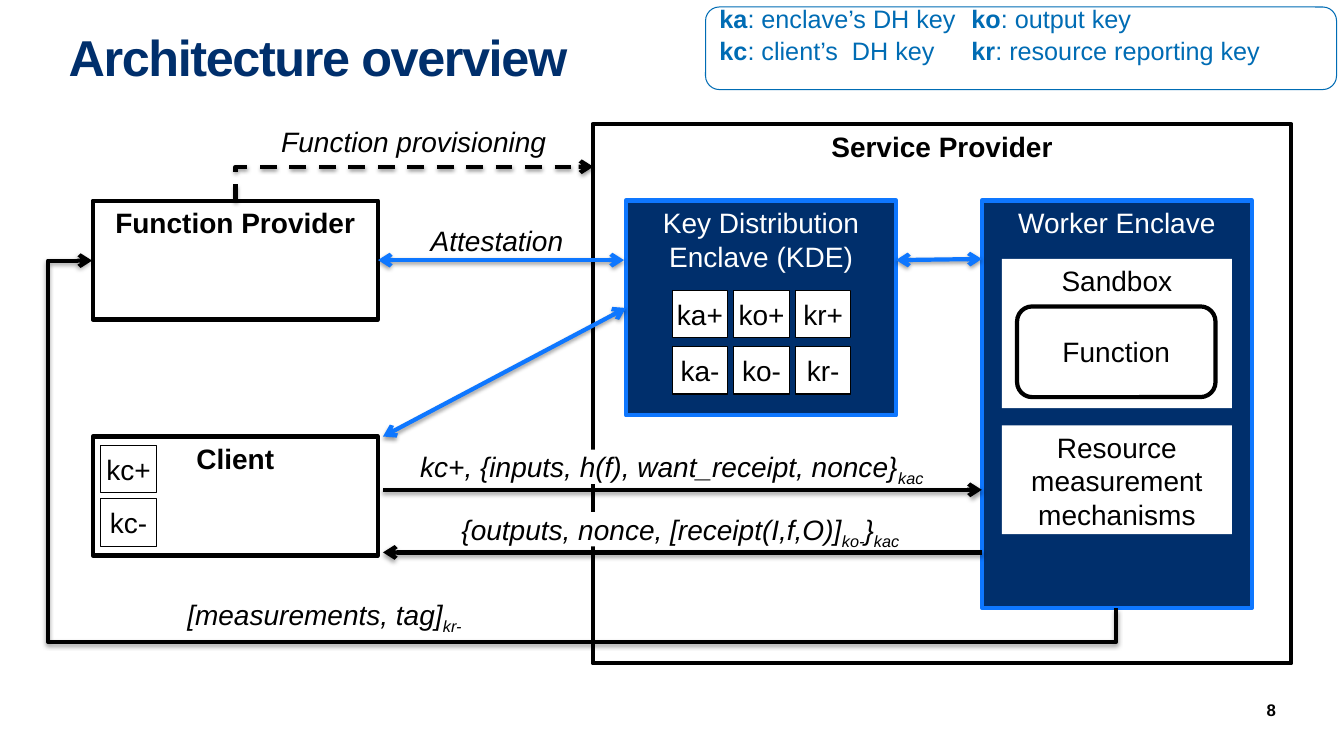
"""Build the architecture overview slide."""
from lxml import etree
from pptx import Presentation
from pptx.dml.color import RGBColor
from pptx.enum.dml import MSO_LINE
from pptx.enum.shapes import MSO_CONNECTOR, MSO_SHAPE
from pptx.enum.text import MSO_ANCHOR, PP_ALIGN
from pptx.oxml import parse_xml
from pptx.oxml.ns import qn
from pptx.util import Pt

RECT, ROUND = MSO_SHAPE.RECTANGLE, MSO_SHAPE.ROUNDED_RECTANGLE
STRAIGHT, ELBOW = MSO_CONNECTOR.STRAIGHT, MSO_CONNECTOR.ELBOW
LEFT, CENTER, RIGHT = PP_ALIGN.LEFT, PP_ALIGN.CENTER, PP_ALIGN.RIGHT
TOP, MIDDLE = MSO_ANCHOR.TOP, MSO_ANCHOR.MIDDLE
DASH = MSO_LINE.DASH

BLACK = RGBColor(0x00, 0x00, 0x00)
WHITE = RGBColor(0xFF, 0xFF, 0xFF)
NAVY = RGBColor(0x00, 0x2F, 0x6C)
BLUE = RGBColor(0x0E, 0x77, 0xFF)
TEAL = RGBColor(0x00, 0x6C, 0xB4)

PLAIN = {"name": "Arial", "size": Pt(20), "bold": False, "italic": False}
BOLD = {**PLAIN, "bold": True}
SLANT = {**PLAIN, "italic": True}
HEAD = {**BOLD, "size": Pt(36)}
NOTE = {**PLAIN, "size": Pt(18)}
PAGE = {**BOLD, "size": Pt(12)}

INSET = (7.2, 3.6, 7.2, 3.6)
SMALL = (2.9, 2.9, 2.9, 2.9)
NONE = (0, 0, 0, 0)
SHADOW = (
    '<a:effectLst xmlns:a="http://schemas.openxmlformats.org/drawingml/2006/main">'
    '<a:outerShdw blurRad="39370" dist="20320" dir="5400000" rotWithShape="0">'
    '<a:srgbClr val="000000"><a:alpha val="38000"/></a:srgbClr>'
    '</a:outerShdw></a:effectLst>'
)


def style(item, values):
    """Set each named attribute on the item."""
    for name, value in values.items():
        setattr(item, name, value)


def write(frame, lines, look, color, align=CENTER, anchor=TOP, inset=INSET):
    """Fill a text frame; each line is a list of run texts."""
    sides = ("margin_left", "margin_top", "margin_right", "margin_bottom")
    style(frame, dict(zip(sides, map(Pt, inset))))
    style(frame, {"word_wrap": True, "vertical_anchor": anchor})
    for index, parts in enumerate(lines):
        para = frame.add_paragraph() if index else frame.paragraphs[0]
        para.alignment = align
        for part in parts:
            run = para.add_run()
            run.text = part
            style(run.font, look)
            run.font.color.rgb = color


def box(slide, area, text, look=PLAIN, ink=BLACK, fill=WHITE, edge=None,
        width=3, kind=RECT, **layout):
    """Draw a shape with text, which is one string or a list of lines."""
    shape = slide.shapes.add_shape(kind, *map(Pt, area))
    shape.shadow.inherit = False
    if fill is None:
        shape.fill.background()
    else:
        shape.fill.solid()
        shape.fill.fore_color.rgb = fill
    if edge is None:
        shape.line.fill.background()
    else:
        shape.line.color.rgb = edge
        shape.line.width = Pt(width)
    lines = [[text]] if isinstance(text, str) else text
    write(shape.text_frame, lines, look, ink, **layout)
    return shape


def chip(slide, left, top, text):
    """Draw one small key cell."""
    box(slide, (left, top, 39.6, 33.8), text, edge=BLACK, width=0.75,
        anchor=MIDDLE, inset=SMALL)


def label(slide, area, parts, fill=None):
    """Write an italic label whose every second part is a subscript."""
    shape = box(slide, area, [parts], SLANT, fill=fill, inset=NONE)
    for run in shape.text_frame.paragraphs[0].runs[1::2]:
        run.font._element.set("baseline", "-25000")


def arrow(slide, ends, color=BLACK, both=False, kind=STRAIGHT):
    """Draw a connector with one or two arrowheads and a soft shadow."""
    link = slide.shapes.add_connector(kind, *map(Pt, ends))
    link.line.color.rgb = color
    link.line.width = Pt(3)
    line = link.line._get_or_add_ln()
    for tip in ("a:headEnd", "a:tailEnd")[0 if both else 1:]:
        etree.SubElement(line, qn(tip), type="arrow")
    link._element.spPr.append(parse_xml(SHADOW))
    return link


def bend(slide, ends, preset, *shifts):
    """Draw a quarter-turned elbow arrow with the given bends."""
    link = arrow(slide, ends, kind=ELBOW)
    props = link._element.spPr
    props.find(qn("a:xfrm")).set("rot", "5400000")
    geom = props.find(qn("a:prstGeom"))
    geom.set("prst", preset)
    guides = geom.find(qn("a:avLst"))
    for index, shift in enumerate(shifts, 1):
        etree.SubElement(guides, qn("a:gd"), name=f"adj{index}",
                         fmla=f"val {shift}")
    return link


def header(slide):
    """Set the title, the key legend and the page number."""
    title = slide.shapes.title
    style(title, {"left": Pt(49), "top": Pt(25.2),
                  "width": Pt(861.8), "height": Pt(94.3)})
    write(title.text_frame, [["Architecture overview"]], HEAD, NAVY,
          align=LEFT, inset=NONE)
    para = title.text_frame.paragraphs[0]
    para.line_spacing = 0.85
    para.runs[0].font._element.set("spc", "-100")
    lines = [["ka", ": enclave’s DH key\t", "ko", ": output key"],
             ["kc", ": client’s  DH key\t", "kr", ": resource reporting key"]]
    legend = box(slide, (504, 5, 450.7, 59), lines, NOTE, TEAL, None, TEAL,
                 0.75, ROUND, align=LEFT, anchor=MIDDLE,
                 inset=(7.2, 0, 7.2, 20))
    for para in legend.text_frame.paragraphs:
        para.space_after = Pt(1.5)
        for run in para.runs[::2]:
            run.font.bold = True
    page = slide.shapes.add_textbox(Pt(848.9), Pt(501.1), Pt(62.6), Pt(12.2))
    write(page.text_frame, [["8"]], PAGE, BLACK, align=RIGHT, anchor=MIDDLE,
          inset=(7.2, 3.6, 0, 3.6))


def parties(slide):
    """Draw the parties with their enclaves and keys."""
    box(slide, (423.4, 88.6, 499, 385.2), "Service Provider", BOLD,
        fill=None, edge=BLACK)
    kde = box(slide, (447.1, 143.3, 193, 153.4),
              "Key Distribution Enclave (KDE)", ink=WHITE, fill=NAVY, edge=BLUE)
    box(slide, (701.3, 143.3, 193, 290.9), "Worker Enclave", ink=WHITE,
        fill=NAVY, edge=BLUE)
    box(slide, (715.7, 185, 164.2, 106.6), "Sandbox")
    box(slide, (726.5, 218.9, 141.8, 64.8), "Function", edge=BLACK,
        kind=ROUND, anchor=MIDDLE)
    box(slide, (715.7, 303.8, 164.2, 77.8), "Resource measurement mechanisms")
    maker, client = [
        box(slide, (66.2, top, 203.8, 85), name, BOLD, edge=BLACK)
        for name, top in (("Function Provider", 143.3), ("Client", 311.8))]
    for row, sign in enumerate("+-"):
        for col, key in enumerate(("ka", "ko", "kr")):
            chip(slide, 480.2 + 44 * col, 207.4 + 40.3 * row, key + sign)
        chip(slide, 72, 318.2 + 38.2 * row, "kc" + sign)
    return maker, kde


def flows(slide, maker, kde):
    """Draw the labelled messages between the parties."""
    arrow(slide, (640.1, 185.8, 701.3, 185), BLUE, True)
    upload = bend(slide, (308.2, 259.2, 283.7, 3.6), "bentConnector2")
    upload.line.dash_style = DASH
    label(slide, (193.7, 88.6, 203.8, 24.5), ["Function provisioning"])
    arrow(slide, (273.6, 349.9, 701.3, 349.9))
    label(slide, (298.1, 321.1, 363.6, 24.5),
          ["kc+, {inputs, h(f), want_receipt, nonce}", "kac"], WHITE)
    arrow(slide, (701.3, 394.6, 273.6, 394.6))
    label(slide, (310.3, 365.8, 351.4, 24.5),
          ["{outputs, nonce, [receipt(I,f,O)]", "ko-", "}", "kac"], WHITE)
    bend(slide, (555.8, -55.4, 307.4, 676.1), "bentConnector4", -9600, 104300)
    label(slide, (66.2, 427, 331.2, 24.5), ["[measurements, tag]", "kr-"])
    grant = arrow(slide, (273.6, 311.8, 447.1, 220), BLUE, True)
    grant.end_connect(kde, 1)
    attest = arrow(slide, (270, 185.8, 445.7, 185.8), BLUE, True)
    attest.begin_connect(maker, 3)
    label(slide, (298.1, 159.8, 113.8, 24.5), ["Attestation"])


def main():
    """Build and save the slide."""
    deck = Presentation()
    style(deck, {"slide_width": Pt(960), "slide_height": Pt(540)})
    slide = deck.slides.add_slide(deck.slide_layouts[5])
    header(slide)
    maker, kde = parties(slide)
    flows(slide, maker, kde)
    deck.save("out.pptx")


if __name__ == "__main__":
    main()
